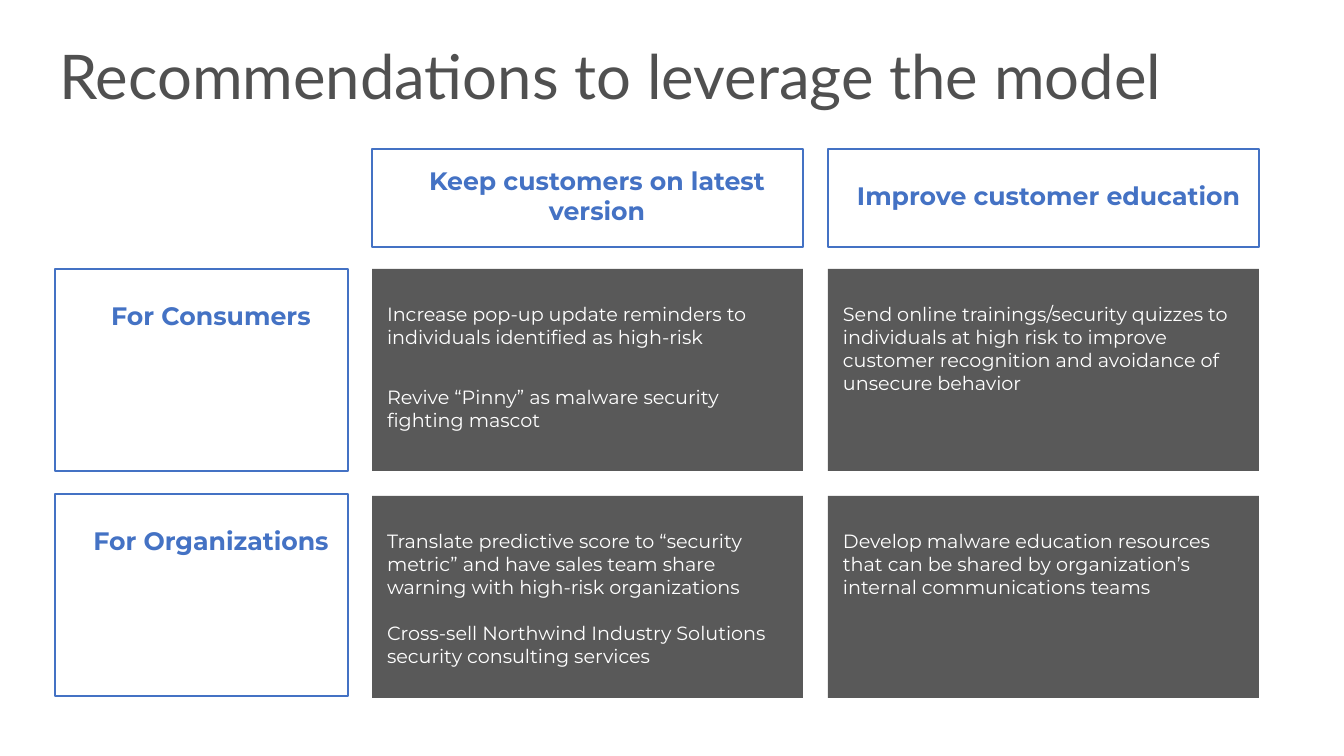
from dataclasses import dataclass

from pptx import Presentation
from pptx import util as u
from pptx.dml.color import RGBColor
from pptx.enum import shapes, text

EMU_PER_PX = 914400 / 100.8
COLORS = {"title": "505050", "accent": "4472C4", "panel": "595959", "white": "FFFFFF"}
COLUMN_LEFT, COLUMN_PITCH, COLUMN_WIDTH = 372, 456, 431
ROW_TOP, ROW_PITCH, ROW_HEIGHT = 269, 227, 202
LABEL_LEFT, LABEL_WIDTH, LABEL_PITCH = 55, 293, 225
HEADER_TOP, HEADER_HEIGHT = 149, 98


@dataclass(frozen=True)
class Style:
    size: float
    color: str
    bold: bool
    insets: tuple[int, int, int, int]
    fill: str | None = None
    line: str | None = None
    anchor: text.MSO_ANCHOR = text.MSO_ANCHOR.TOP


@dataclass(frozen=True)
class Box:
    left: int
    top: int
    width: int
    height: int
    style: Style
    paragraphs: tuple[str, ...]
    centered: bool = False
    gap: float = 0


PANEL = Style(13.7, "white", False, (15, 33, 15, 10), fill="panel")
HEADER = Style(18, "accent", True, (29, 0, 10, 5), line="accent", anchor=text.MSO_ANCHOR.MIDDLE)
LABEL = Style(18, "accent", True, (29, 31, 10, 5), line="accent")

HEADERS = (("Keep customers on latest version", True), ("Improve customer education", False))
LABELS = ("For Consumers", "For Organizations")
PANELS = (
    (
        (
            "Increase pop-up update reminders to individuals identified as high-risk",
            "Revive “Pinny” as malware security fighting mascot",
        ),
        (
            "Send online trainings/security quizzes to individuals at high risk to improve "
            "customer recognition and avoidance of unsecure behavior",
        ),
    ),
    (
        (
            "Translate predictive score to “security metric” and have sales team share "
            "warning with high-risk organizations",
            "Cross-sell Northwind Industry Solutions security consulting services",
        ),
        (
            "Develop malware education resources that can be shared by organization’s "
            "internal communications teams",
        ),
    ),
)
PANEL_GAPS = (26.5, 16.7)


def px(value: float) -> u.Emu:
    return u.Emu(round(value * EMU_PER_PX))


def color(name: str) -> RGBColor:
    return RGBColor.from_string(COLORS[name])


def place(shape, left: int, top: int, width: int, height: int) -> None:
    shape.left, shape.top, shape.width, shape.height = map(px, (left, top, width, height))


def format_font(font, name: str, size: float, color_name: str, bold: bool = False) -> None:
    font.name, font.size, font.bold = name, u.Pt(size), bold
    font.color.rgb = color(color_name)


def draw_title(slide, wording: str) -> None:
    title = slide.shapes.title
    place(title, 49, 28, 1245, 103)
    title.text_frame.text = wording
    title.text_frame.auto_size = text.MSO_AUTO_SIZE.NONE
    title.text_frame.vertical_anchor = text.MSO_ANCHOR.MIDDLE
    paragraph = title.text_frame.paragraphs[0]
    paragraph.alignment = text.PP_ALIGN.LEFT
    paragraph.line_spacing = 0.9
    format_font(paragraph.font, "Lato", 44, "title")


def draw_box(slide, box: Box) -> None:
    style = box.style
    shape = slide.shapes.add_shape(shapes.MSO_SHAPE.RECTANGLE, 0, 0, 0, 0)
    place(shape, box.left, box.top, box.width, box.height)
    shape.shadow.inherit = False
    if style.fill:
        shape.fill.solid()
        shape.fill.fore_color.rgb = color(style.fill)
    else:
        shape.fill.background()
    if style.line:
        shape.line.color.rgb = color(style.line)
        shape.line.width = u.Pt(1.5)
    else:
        shape.line.fill.background()

    frame = shape.text_frame
    frame.word_wrap = True
    frame.vertical_anchor = style.anchor
    frame.margin_left, frame.margin_top, frame.margin_right, frame.margin_bottom = map(px, style.insets)
    frame.text = "\n".join(box.paragraphs)
    for index, paragraph in enumerate(frame.paragraphs):
        paragraph.alignment = text.PP_ALIGN.CENTER if box.centered else text.PP_ALIGN.LEFT
        if index:
            paragraph.space_before = u.Pt(box.gap)
        format_font(paragraph.font, "Montserrat", style.size, style.color, style.bold)


def grid_boxes() -> list[Box]:
    boxes = [
        Box(COLUMN_LEFT + column * COLUMN_PITCH, HEADER_TOP, COLUMN_WIDTH, HEADER_HEIGHT,
            HEADER, (wording,), centered)
        for column, (wording, centered) in enumerate(HEADERS)
    ]
    for row, (label, panels, gap) in enumerate(zip(LABELS, PANELS, PANEL_GAPS)):
        boxes.append(Box(LABEL_LEFT, ROW_TOP + row * LABEL_PITCH, LABEL_WIDTH, ROW_HEIGHT,
                         LABEL, (label,), True))
        for column, paragraphs in enumerate(panels):
            boxes.append(Box(COLUMN_LEFT + column * COLUMN_PITCH, ROW_TOP + row * ROW_PITCH,
                             COLUMN_WIDTH, ROW_HEIGHT, PANEL, paragraphs, gap=gap))
    return boxes


def main() -> None:
    presentation = Presentation()
    presentation.slide_width, presentation.slide_height = px(1344), px(756)
    slide = presentation.slides.add_slide(presentation.slide_layouts[5])
    draw_title(slide, "Recommendations to leverage the model")
    for box in grid_boxes():
        draw_box(slide, box)
    presentation.save("out.pptx")


if __name__ == "__main__":
    main()
